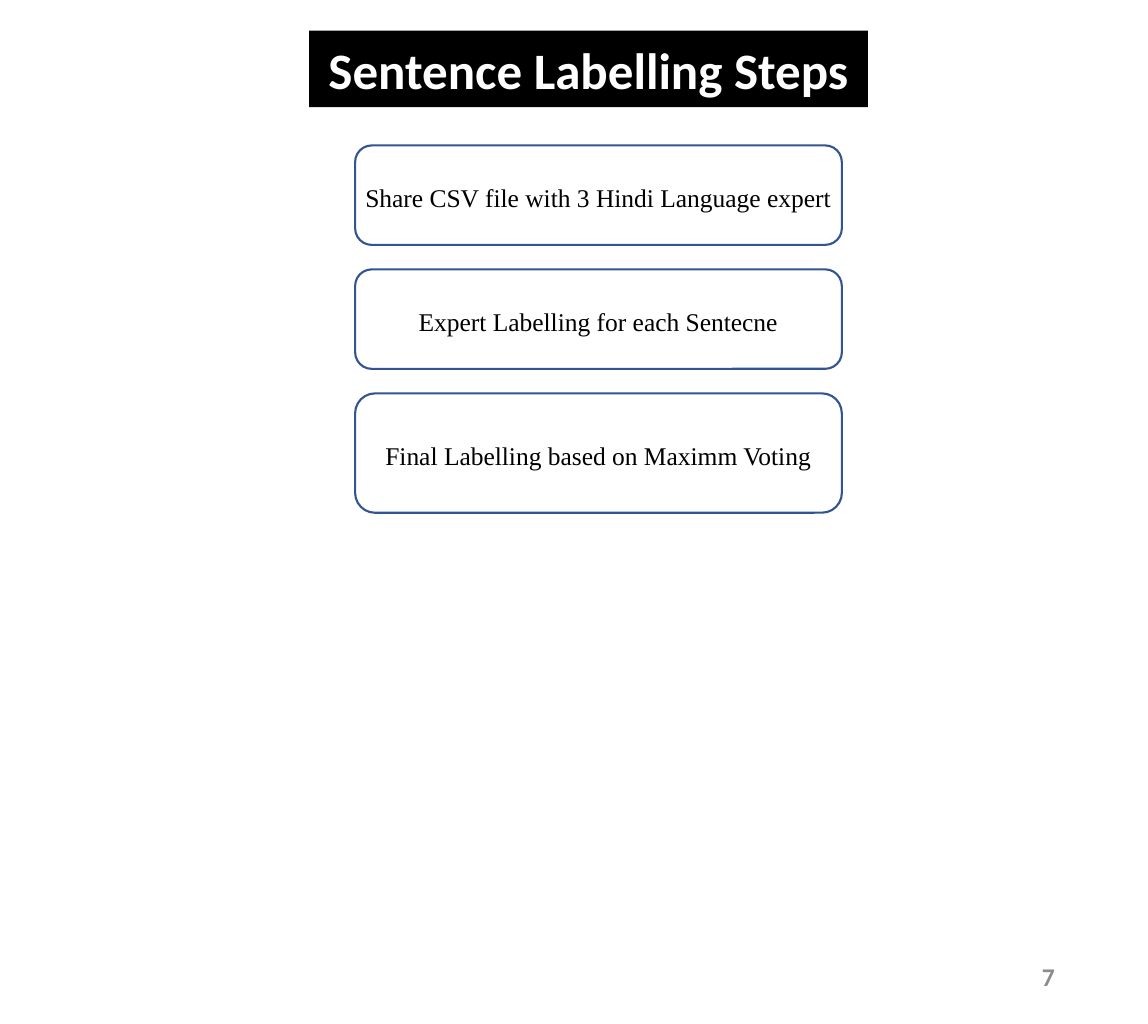
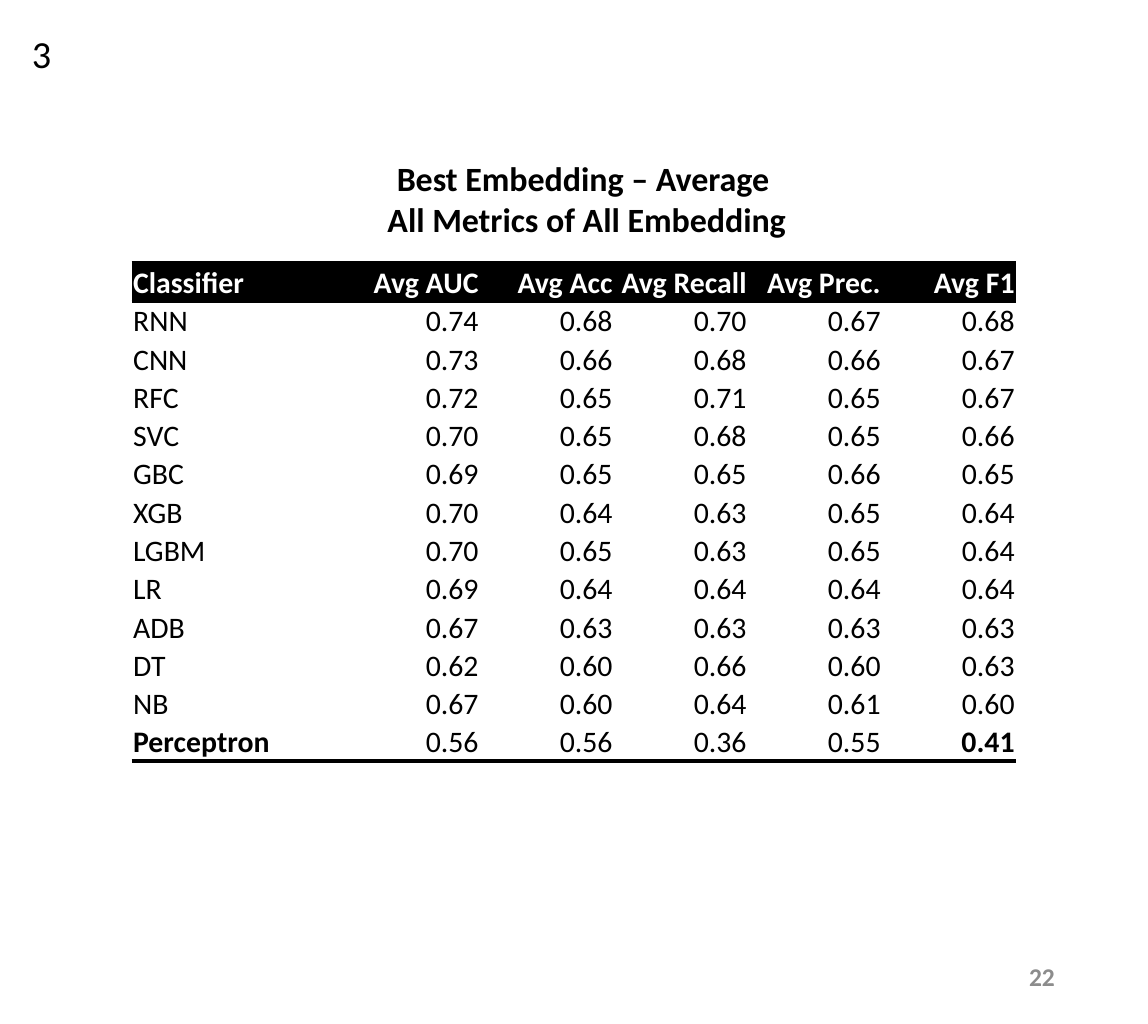
from typing import NamedTuple

from lxml.etree import SubElement
from pptx import Presentation
from pptx.dml.color import RGBColor
from pptx.enum.shapes import MSO_SHAPE as Shape
from pptx.enum.text import MSO_ANCHOR as Anchor, MSO_AUTO_SIZE as Fit, PP_ALIGN as Align
from pptx.oxml.ns import qn
from pptx.util import Inches, Pt

BLACK = RGBColor(0x00, 0x00, 0x00)
WHITE = RGBColor(0xFF, 0xFF, 0xFF)
BLUE = RGBColor(0x32, 0x54, 0x91)
GREY = RGBColor(0x8C, 0x8C, 0x8C)
SANS, SERIF = "Calibri", "Times New Roman"
WIDE, HIGH = Inches(7.5), Inches(6.69)
COLS, ROWS = 75, 66.9
PLAIN = "{2D5ABB26-0587-4C30-8999-92F81FD0307C}"

STEPS = [
    ("Share CSV file with 3 Hindi Language expert", 1),
    ("Expert Labelling for each Sentecne", 1),
    ("Final Labelling based on Maximm Voting", 1.2),
]
HEADS = ["Classifier", "Avg AUC", "Avg Acc", "Avg Recall", "Avg Prec.", "Avg F1"]
SCORES = [
    ("RNN", 0.74, 0.68, 0.70, 0.67, 0.68),
    ("CNN", 0.73, 0.66, 0.68, 0.66, 0.67),
    ("RFC", 0.72, 0.65, 0.71, 0.65, 0.67),
    ("SVC", 0.70, 0.65, 0.68, 0.65, 0.66),
    ("GBC", 0.69, 0.65, 0.65, 0.66, 0.65),
    ("XGB", 0.70, 0.64, 0.63, 0.65, 0.64),
    ("LGBM", 0.70, 0.65, 0.63, 0.65, 0.64),
    ("LR", 0.69, 0.64, 0.64, 0.64, 0.64),
    ("ADB", 0.67, 0.63, 0.63, 0.63, 0.63),
    ("DT", 0.62, 0.60, 0.66, 0.60, 0.63),
    ("NB", 0.67, 0.60, 0.64, 0.61, 0.60),
    ("Perceptron", 0.56, 0.56, 0.36, 0.55, 0.41),
]


class Box(NamedTuple):
    """A region in grid columns and rows."""
    x: float
    y: float
    w: float
    h: float

    def place(self):
        """Return left, top, width and height as lengths."""
        return (across(self.x), down(self.y), across(self.w), down(self.h))


def across(count):
    """Turn grid columns into a length."""
    return round(WIDE * count / COLS)


def down(count):
    """Turn grid rows into a length."""
    return round(HIGH * count / ROWS)


def write(frame, text, size=12, font=SANS, color=BLACK, bold=False,
          align=Align.LEFT, space=None):
    """Write one paragraph per line of text in one format."""
    for at, line in enumerate(text.split("\n")):
        para = frame.add_paragraph() if at else frame.paragraphs[0]
        para.alignment = align
        para.line_spacing = space
        run = para.add_run()
        run.text = line
        run.font.size, run.font.name = Pt(size), font
        run.font.bold, run.font.color.rgb = bold, color


def pad(host, side, top, base, anchor):
    """Set the insets and anchor of a text frame or table cell."""
    host.margin_left = host.margin_right = across(side)
    host.margin_top, host.margin_bottom = down(top), down(base)
    host.vertical_anchor = anchor


def panel(slide, kind, box, fill, line=None):
    """Add a filled shape and return its text frame."""
    shape = slide.shapes.add_shape(kind, *box.place())
    shape.shadow.inherit = False
    shape.fill.solid()
    shape.fill.fore_color.rgb = fill
    if line is None:
        shape.line.fill.background()
    else:
        shape.line.color.rgb, shape.line.width = line, Pt(1)
    shape.text_frame.word_wrap = True
    return shape.text_frame


def label(slide, box, text, anchor=Anchor.TOP, wrap=True, fit=Fit.NONE, **form):
    """Add a text box."""
    frame = slide.shapes.add_textbox(*box.place()).text_frame
    frame.word_wrap, frame.auto_size = wrap, fit
    frame.vertical_anchor = anchor
    write(frame, text, **form)


def banner(slide, box, text):
    """Add the black title band."""
    frame = panel(slide, Shape.RECTANGLE, box, BLACK)
    pad(frame, 1, 0.5, 0.5, Anchor.TOP)
    frame.auto_size = Fit.SHAPE_TO_FIT_TEXT
    write(frame, text, size=24, color=WHITE, bold=True, align=Align.CENTER)


def footer(slide, number):
    """Add the page number."""
    label(slide, Box(53, 62, 16.9, 3.6), str(number), anchor=Anchor.MIDDLE,
          color=GREY, bold=True, align=Align.RIGHT)


def stack(slide, box, steps):
    """Stack the steps down the box by weight with equal gaps."""
    gap = box.h / 15
    unit = (box.h - gap * (len(steps) - 1)) / sum(share for _, share in steps)
    top = box.y
    for text, share in steps:
        part = Box(box.x, top, box.w, unit * share)
        frame = panel(slide, Shape.FLOWCHART_ALTERNATE_PROCESS, part, WHITE, BLUE)
        pad(frame, 0.3, 0.2, 0.2, Anchor.MIDDLE)
        write(frame, text, font=SERIF, align=Align.CENTER, space=1.15)
        top += part.h + gap


def rule(cell, *sides):
    """Draw black borders on the named sides of a cell."""
    props = cell._tc.get_or_add_tcPr()
    for at, side in enumerate(sides):
        line = SubElement(props, qn(f"a:ln{side}"), w=str(Pt(2)))
        fill = SubElement(line, qn("a:solidFill"))
        SubElement(fill, qn("a:srgbClr"), val=str(BLACK))
        props.insert(at, line)


def grid(slide, box, heads, scores):
    """Add the score table with a dark head and a closing rule."""
    rows = [heads] + [[name] + [f"{mark:.2f}" for mark in marks]
                      for name, *marks in scores]
    last, end = len(rows) - 1, len(heads) - 1
    table = slide.shapes.add_table(len(rows), len(heads), *box.place()).table
    table.first_row = table.horz_banding = False
    table._tbl.tblPr.find(qn("a:tableStyleId")).text = PLAIN
    parts = [1.6] + [1] * end
    for col, part in zip(table.columns, parts):
        col.width = across(box.w * part / sum(parts))
    for r, row in enumerate(rows):
        table.rows[r].height = down(box.h / len(rows))
        for c, text in enumerate(row):
            cell = table.cell(r, c)
            cell.fill.solid()
            cell.fill.fore_color.rgb = WHITE if r else BLACK
            pad(cell, 0.1, 0.1, 0, Anchor.BOTTOM)
            write(cell.text_frame, text, size=14, color=BLACK if r else WHITE,
                  bold=r == 0 or (r == last and c in (0, end)),
                  align=Align.RIGHT if c else Align.LEFT)
            if r == 0:
                rule(cell, "T", "B")
            elif r == last:
                rule(cell, "B")


def label_page(slide):
    """Build the labelling steps slide."""
    stack(slide, Box(23.2, 9.5, 31.8, 24), STEPS)
    banner(slide, Box(20.2, 2, 36.5, 5), "Sentence Labelling Steps")
    footer(slide, 7)


def score_page(slide):
    """Build the average metrics slide."""
    label(slide, Box(17.8, 9.8, 41.1, 6.4),
          "Best Embedding – Average \nAll Metrics of All Embedding",
          fit=Fit.SHAPE_TO_FIT_TEXT, size=16, bold=True, align=Align.CENTER)
    footer(slide, 22)
    label(slide, Box(1.1, 1.5, 3.3, 4), "3", wrap=False,
          fit=Fit.SHAPE_TO_FIT_TEXT, size=18)
    grid(slide, Box(8.6, 17.2, 57.8, 32.5), HEADS, SCORES)


def main():
    """Build and save the deck."""
    deck = Presentation()
    deck.slide_width, deck.slide_height = WIDE, HIGH
    for build in (label_page, score_page):
        build(deck.slides.add_slide(deck.slide_layouts[6]))
    deck.save("out.pptx")


if __name__ == "__main__":
    main()
